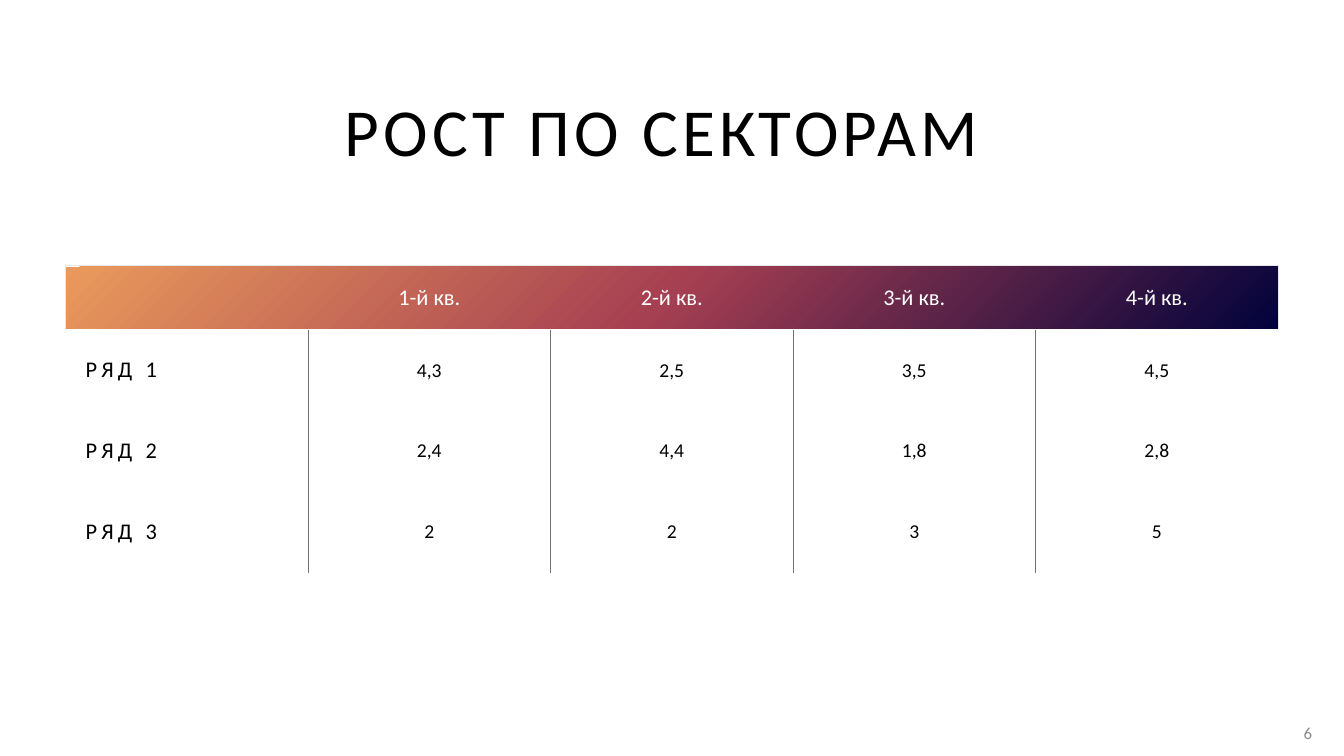
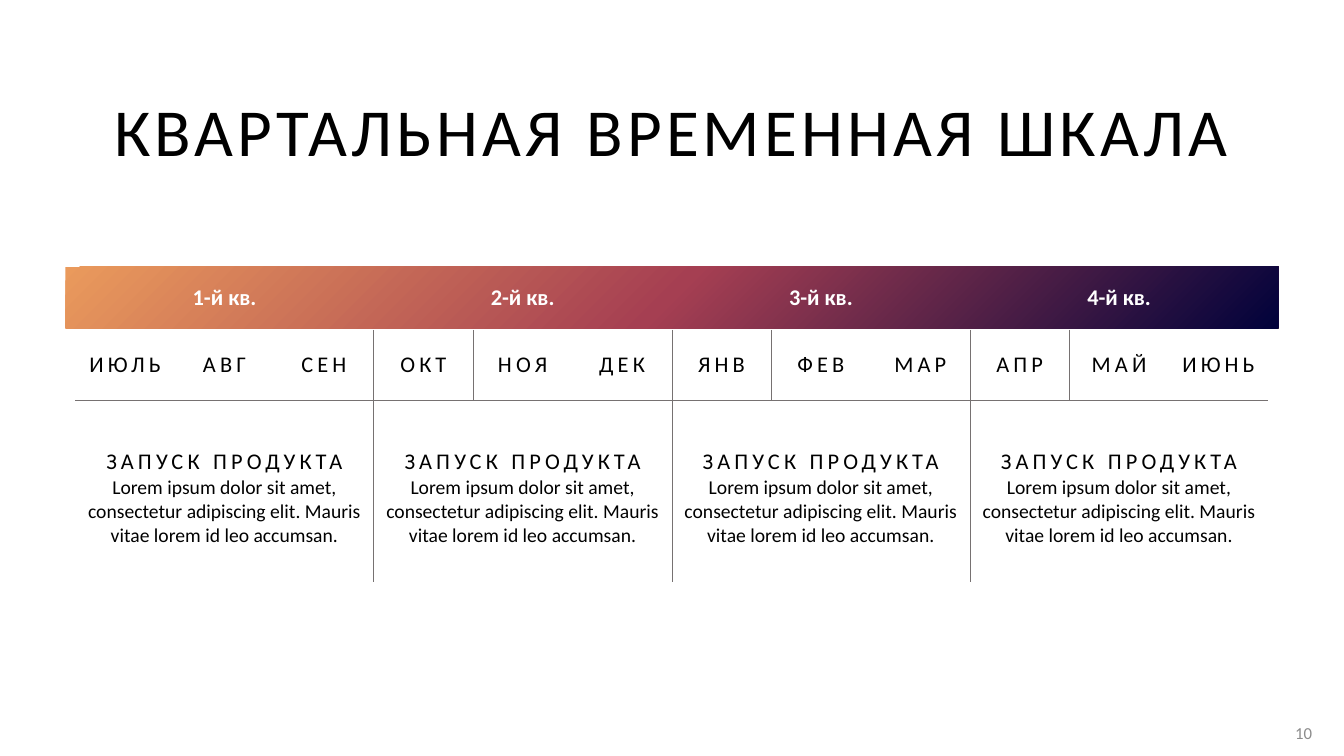
from lxml.etree import SubElement
from pptx import Presentation
from pptx.dml.color import RGBColor
from pptx.enum.shapes import MSO_SHAPE
from pptx.enum.text import MSO_ANCHOR, MSO_AUTO_SIZE, PP_ALIGN
from pptx.oxml.ns import qn
from pptx.util import Cm, Pt

BLACK = RGBColor(0x00, 0x00, 0x00)
WHITE = RGBColor(0xFF, 0xFF, 0xFF)
PAGE_GRAY = RGBColor(0x8C, 0x8C, 0x8C)
GRID_GRAY = RGBColor(0x76, 0x71, 0x71)
EDGE_GRAY = RGBColor(0xE7, 0xE6, 0xE6)
NAVY = RGBColor(0x01, 0x02, 0x3B)
CRIMSON = RGBColor(0xA5, 0x3F, 0x52)
ORANGE = RGBColor(0xEA, 0x9A, 0x5C)

FONT = "Calibri"
WIDE_SPACING = 3
NO_GRID_STYLE = "{2D5ABB26-0587-4C30-8999-92F81FD0307C}"
TITLE_ONLY_LAYOUT = 5

LEFT, CONTENT_WIDTH = Cm(1.65), Cm(30.56)
TABLE_TOP, HEADER_HEIGHT = Cm(6.68), Cm(1.63)
GRID_LINE = (GRID_GRAY, Pt(0.25))
EDGE_LINE = (EDGE_GRAY, Pt(0.5))

QUARTERS = ["1-й кв.", "2-й кв.", "3-й кв.", "4-й кв."]
SECTOR_ROWS = [
    ["РЯД 1", "4,3", "2,5", "3,5", "4,5"],
    ["РЯД 2", "2,4", "4,4", "1,8", "2,8"],
    ["РЯД 3", "2", "2", "3", "5"],
]
MONTHS = ["ИЮЛЬ", "АВГ", "СЕН", "ОКТ", "НОЯ", "ДЕК",
          "ЯНВ", "ФЕВ", "МАР", "АПР", "МАЙ", "ИЮНЬ"]
MONTHS_PER_QUARTER = 3
MILESTONE = "ЗАПУСК ПРОДУКТА"
DESCRIPTION = ("Lorem ipsum dolor sit amet, consectetur adipiscing elit. "
               "Mauris vitae lorem id leo accumsan.")


def write(paragraph, text, size, color=BLACK, spacing=0, bold=False,
          align=PP_ALIGN.CENTER):
    paragraph.alignment = align
    run = paragraph.add_run()
    run.text = text
    run.font.name = FONT
    run.font.size = Pt(size)
    run.font.bold = bold
    run.font.color.rgb = color
    if spacing:
        run.font._element.set("spc", str(spacing * 100))


def add_color(parent, color):
    SubElement(SubElement(parent, qn("a:solidFill")), qn("a:srgbClr"), val=str(color))


def add_header_band(slide):
    """Add the band whose colours spread from its lower right corner."""
    band = slide.shapes.add_shape(
        MSO_SHAPE.RECTANGLE, LEFT, Cm(6.72), CONTENT_WIDTH, Cm(1.55))
    band.shadow.inherit = False
    band.line.fill.background()
    band.fill.gradient()
    gradient = band._element.spPr.find(qn("a:gradFill"))
    for child in list(gradient):
        gradient.remove(child)
    stops = SubElement(gradient, qn("a:gsLst"))
    for position, color in ((0, NAVY), (50, CRIMSON), (100, ORANGE)):
        stop = SubElement(stops, qn("a:gs"), pos=str(position * 1000))
        SubElement(stop, qn("a:srgbClr"), val=str(color))
    spread = SubElement(gradient, qn("a:path"), {"path": "circle"})
    SubElement(spread, qn("a:fillToRect"), l="100000", t="100000")
    SubElement(gradient, qn("a:tileRect"), r="-100000", b="-100000")


def add_page_number(slide, number):
    box = slide.shapes.add_textbox(Cm(32.08), Cm(17.96), Cm(1.24), Cm(1.02))
    box.text_frame.word_wrap = True
    box.text_frame.vertical_anchor = MSO_ANCHOR.MIDDLE
    write(box.text_frame.paragraphs[0], str(number), 12, PAGE_GRAY,
          align=PP_ALIGN.RIGHT)


def add_content_slide(presentation, title_text, page_number):
    """Add a slide with the shared title, header band and page number."""
    layout = presentation.slide_layouts[TITLE_ONLY_LAYOUT]
    slide = presentation.slides.add_slide(layout)
    add_header_band(slide)
    title = slide.shapes.title
    title.left, title.top = LEFT, Cm(2.13)
    title.width, title.height = CONTENT_WIDTH, Cm(2.29)
    title.text_frame.auto_size = MSO_AUTO_SIZE.NONE
    title.text_frame.vertical_anchor = MSO_ANCHOR.MIDDLE
    write(title.text_frame.paragraphs[0], title_text, 48, spacing=WIDE_SPACING)
    add_page_number(slide, page_number)
    return slide


def add_plain_table(slide, left, width, column_count, row_heights):
    """Add a table without style, with equal columns and clear cells."""
    table = slide.shapes.add_table(
        len(row_heights), column_count, left, TABLE_TOP, width, sum(row_heights)).table
    table.first_row = table.horz_banding = False
    table._tbl.tblPr.find(qn("a:tableStyleId")).text = NO_GRID_STYLE
    for row, height in zip(table.rows, row_heights):
        row.height = height
    for cell in table.iter_cells():
        cell.fill.background()
        cell.vertical_anchor = MSO_ANCHOR.MIDDLE
    return table


def set_borders(cell, **lines):
    """Draw the given sides, named L, R, T and B, as (colour, width)."""
    properties = cell._tc.get_or_add_tcPr()
    sides = [side for side in "LRTB" if lines.get(side)]
    for index, side in enumerate(sides):
        color, width = lines[side]
        line = SubElement(properties, qn(f"a:ln{side}"), w=str(width))
        add_color(line, color)
        properties.insert(index, line)


def first_paragraph(cell):
    return cell.text_frame.paragraphs[0]


def fill_sector_table(slide):
    row_heights = [HEADER_HEIGHT] + [Cm(2.04)] * len(SECTOR_ROWS)
    last = len(QUARTERS)
    table = add_plain_table(slide, LEFT, CONTENT_WIDTH, last + 1, row_heights)
    for column in range(last + 1):
        set_borders(table.cell(0, column), T=EDGE_LINE,
                    L=EDGE_LINE if column == 0 else None,
                    R=EDGE_LINE if column == last else None)
    for column, quarter in enumerate(QUARTERS, 1):
        write(first_paragraph(table.cell(0, column)), quarter, 16, WHITE)
    for row, values in enumerate(SECTOR_ROWS, 1):
        for column, value in enumerate(values):
            cell = table.cell(row, column)
            set_borders(cell, L=GRID_LINE if column > 0 else None,
                        R=GRID_LINE if column < last else None)
            if column == 0:
                cell.margin_left = Cm(0.51)
                write(first_paragraph(cell), value, 16, spacing=WIDE_SPACING,
                      align=PP_ALIGN.LEFT)
            else:
                write(first_paragraph(cell), value, 14)


def fill_timeline_table(slide):
    row_heights = [HEADER_HEIGHT, Cm(1.78), Cm(4.57)]
    table = add_plain_table(slide, Cm(1.9), Cm(30.06), len(MONTHS), row_heights)
    for column, month in enumerate(MONTHS):
        cell = table.cell(1, column)
        starts_quarter = column % MONTHS_PER_QUARTER == 0 and column > 0
        ends_quarter = (column + 1) % MONTHS_PER_QUARTER == 0 and column + 1 < len(MONTHS)
        set_borders(cell, B=GRID_LINE, L=GRID_LINE if starts_quarter else None,
                    R=GRID_LINE if ends_quarter else None)
        write(first_paragraph(cell), month, 16, spacing=WIDE_SPACING)
    for index, quarter in enumerate(QUARTERS):
        start = index * MONTHS_PER_QUARTER
        end = start + MONTHS_PER_QUARTER - 1
        header, milestone = table.cell(0, start), table.cell(2, start)
        header.merge(table.cell(0, end))
        milestone.merge(table.cell(2, end))
        write(first_paragraph(header), quarter, 16, WHITE, bold=True)
        set_borders(milestone, T=GRID_LINE, L=GRID_LINE if index > 0 else None,
                    R=GRID_LINE if index + 1 < len(QUARTERS) else None)
        heading = first_paragraph(milestone)
        heading.line_spacing = 1.5
        write(heading, MILESTONE, 16, spacing=WIDE_SPACING)
        write(milestone.text_frame.add_paragraph(), DESCRIPTION, 14)


def main():
    presentation = Presentation()
    presentation.slide_width, presentation.slide_height = Cm(33.87), Cm(19.05)
    fill_sector_table(add_content_slide(presentation, "РОСТ ПО СЕКТОРАМ ", 6))
    fill_timeline_table(
        add_content_slide(presentation, "КВАРТАЛЬНАЯ ВРЕМЕННАЯ ШКАЛА", 10))
    presentation.save("out.pptx")


if __name__ == "__main__":
    main()
